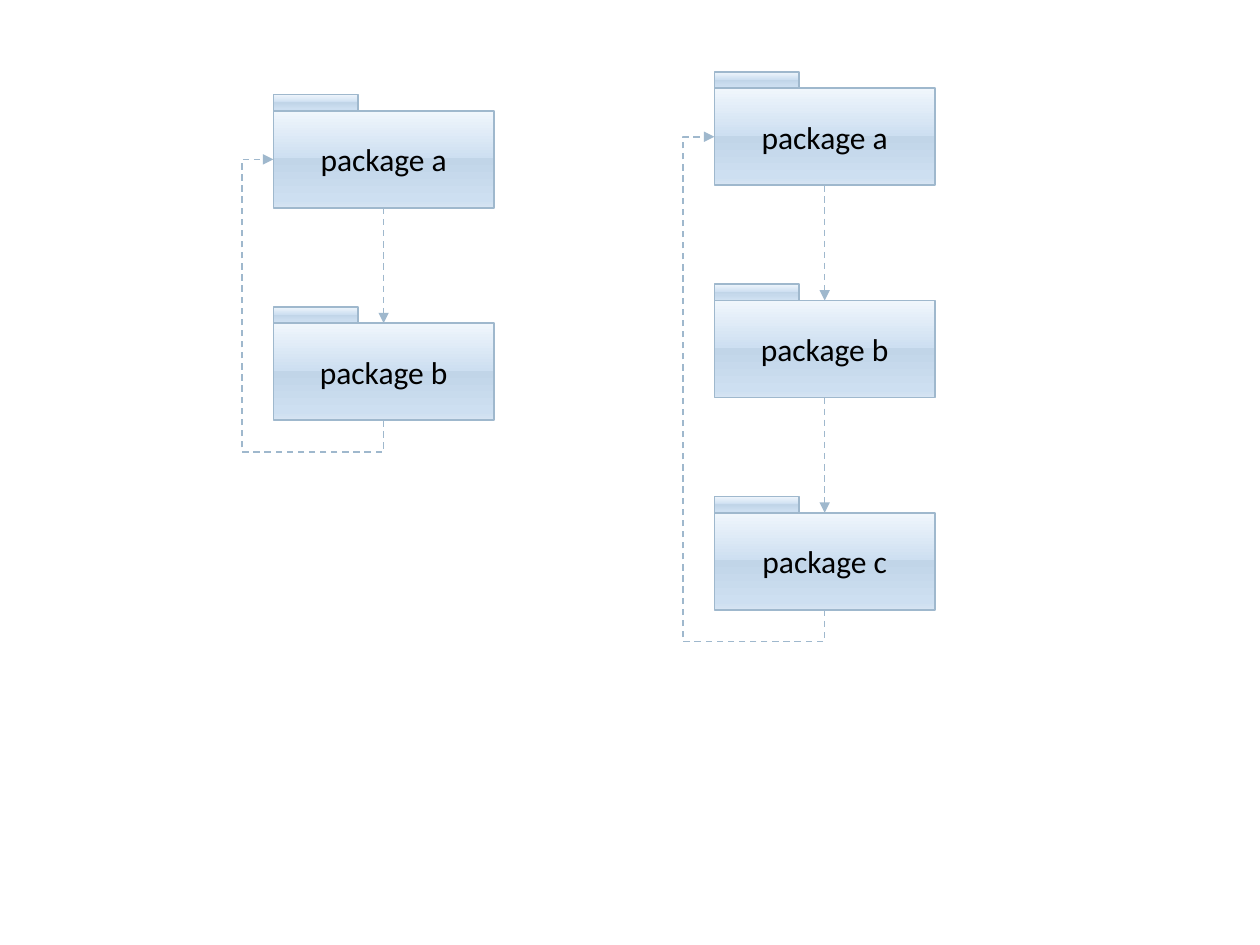
"""Draw two package diagrams with cyclic dependencies."""
import pptx
import pptx.util
import pptx.dml.color
import pptx.enum.dml
import pptx.enum.shapes
import pptx.enum.text
import pptx.oxml
import pptx.oxml.ns
import lxml.etree

CYCLES = [
    {"left": 2.17, "top": 0.88, "packages": ["package a", "package b"]},
    {"left": 5.67, "top": 0.7, "packages": ["package a", "package b", "package c"]},
]
COLORS = {"line": "9FB8CD", "text": "000000"}
SHEEN = [(0, "F0F6FC"), (49, "CDDFF1"), (49, "C1D5E8"), (92, "CDDFF1"), (100, "D6E4F2")]
BODY_W, BODY_H = 1.75, 0.77
TAB_W, TAB_H = 0.67, 0.13
PITCH = 1.685
DETOUR = 0.25
LINE_WIDTH = 0.9
TOP_SITE, BOTTOM_SITE = 0, 2

Inches = pptx.util.Inches
qn = pptx.oxml.ns.qn
Kind = pptx.enum.shapes.MSO_CONNECTOR


def rgb(name):
    return pptx.dml.color.RGBColor.from_string(COLORS[name])


def style_line(line):
    line.color.rgb = rgb("line")
    line.width = pptx.util.Pt(LINE_WIDTH)


def add_box(folder, left, top, width, height):
    box = folder.shapes.add_shape(
        pptx.enum.shapes.MSO_SHAPE.RECTANGLE, *map(Inches, (left, top, width, height)))
    box.shadow.inherit = False
    style_line(box.line)
    box.fill.gradient()
    box.fill.gradient_angle = 270
    stops = box._element.spPr.find(qn("a:gradFill")).find(qn("a:gsLst"))
    for stop in list(stops):
        stops.remove(stop)
    for percent, color in SHEEN:
        stop = lxml.etree.SubElement(stops, qn("a:gs"), pos=str(percent * 1000))
        lxml.etree.SubElement(stop, qn("a:srgbClr"), val=color)
    return box


def add_package(slide, label, left, top):
    folder = slide.shapes.add_group_shape()
    add_box(folder, left, top - TAB_H, TAB_W, TAB_H)
    body = add_box(folder, left, top, BODY_W, BODY_H)
    frame = body.text_frame
    frame.vertical_anchor = pptx.enum.text.MSO_ANCHOR.MIDDLE
    paragraph = frame.paragraphs[0]
    paragraph.text = label
    paragraph.alignment = pptx.enum.text.PP_ALIGN.CENTER
    paragraph.font.size = pptx.util.Pt(18)
    paragraph.font.name = "Calibri"
    paragraph.font.color.rgb = rgb("text")
    return body


def add_arrow(slide, kind, *ends):
    arrow = slide.shapes.add_connector(kind, *map(Inches, ends))
    style_line(arrow.line)
    arrow.line.dash_style = pptx.enum.dml.MSO_LINE.DASH
    lxml.etree.SubElement(arrow.line._get_or_add_ln(), qn("a:tailEnd"), type="triangle")
    lxml.etree.SubElement(arrow._element.spPr, qn("a:effectLst"))
    return arrow


def add_return(slide, left, top, bottom):
    """Lead an arrow from the last package's foot round to the first one's side."""
    rise, run = bottom - (top + BODY_H / 2), BODY_W / 2
    mid_x, mid_y = left + run / 2, bottom - rise / 2
    arrow = add_arrow(slide, Kind.ELBOW, mid_x + rise / 2, mid_y - run / 2,
                      mid_x - rise / 2, mid_y + run / 2)
    properties = arrow._element.spPr
    properties.find(qn("a:xfrm")).set("rot", str(90 * 60000))
    outline = properties.find(qn("a:prstGeom"))
    outline.set("prst", "bentConnector4")
    guides = outline.find(qn("a:avLst"))
    for name, share in (("adj1", -DETOUR / rise), ("adj2", 1 + DETOUR / run)):
        lxml.etree.SubElement(guides, qn("a:gd"), name=name,
                              fmla=f"val {round(share * 100000)}")


deck = pptx.Presentation()
deck.slide_width, deck.slide_height = Inches(10), Inches(7.5)
slide = deck.slides.add_slide(deck.slide_layouts[6])

for cycle in CYCLES:
    left, top = cycle["left"], cycle["top"]
    bodies = [add_package(slide, label, left, top + row * PITCH)
              for row, label in enumerate(cycle["packages"])]
    for user, used in zip(bodies, bodies[1:]):
        arrow = add_arrow(slide, Kind.STRAIGHT, 0, 0, 1, 1)
        arrow.begin_connect(user, BOTTOM_SITE)
        arrow.end_connect(used, TOP_SITE)
    add_return(slide, left, top, top + (len(bodies) - 1) * PITCH + BODY_H)

deck.save("out.pptx")
